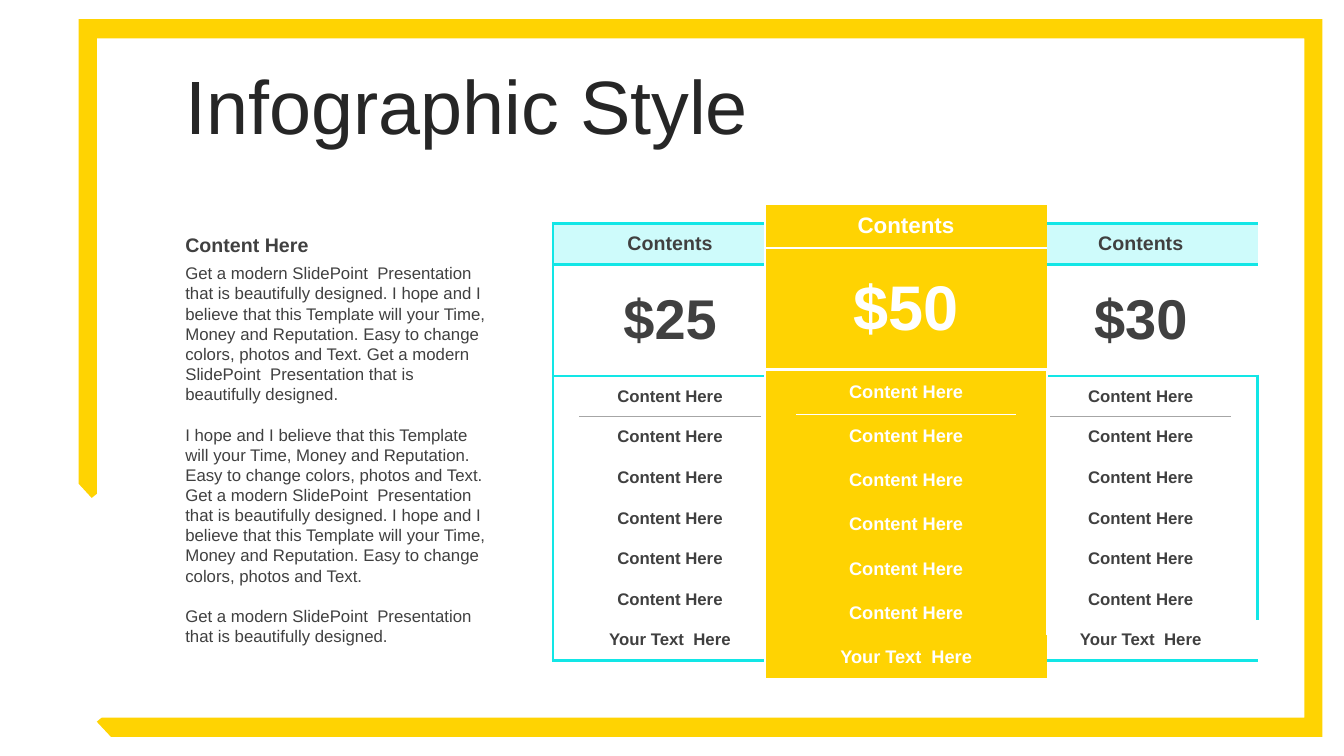
from lxml import etree
from pptx import Presentation
from pptx import util as u
from pptx.dml.color import RGBColor
from pptx.enum import text
from pptx.oxml.ns import qn

Pt = u.Pt

THEME = {
    "font": "Arial", "yellow": "FFD302", "cyan": "12E6E6", "pale": "CEFBFB",
    "white": "FFFFFF", "dark": "404040", "title": "262626", "grey": "A6A6A6",
    "title_size": 54, "heading_size": 14, "body_size": 12,
}
NO_STYLE = "{2D5ABB26-0587-4C30-8999-92F81FD0307C}"

TITLE = "Infographic Style"
HEADING = "Content Here"
PITCH = "Get a modern SlidePoint  Presentation that is beautifully designed."
PROMISE = ("I hope and I believe that this Template will your Time, Money and "
           "Reputation. Easy to change colors, photos and Text.")
BODY = [f"{PITCH} {PROMISE} {PITCH}", f"{PROMISE} {PITCH} {PROMISE}", PITCH]

FEATURES = ["Content Here"] * 6 + ["Your Text  Here"]
SIDE = {
    "top": 159.8, "cols": (18.8, 129.5, 18.8), "row": 29, "price_row": 79.8,
    "sizes": (14, 40, 12), "margins": (6, 3), "head": "pale", "fill": "white",
    "ink": "dark", "edge": ("cyan", 2.25), "under_head": ("cyan", 2.25),
    "divider": ("grey", 0.75),
}
FEATURED = {
    "top": 145.6, "cols": (22.5, 156.6, 22.5), "row": 31.6, "price_row": 87,
    "sizes": (16, 45, 13), "margins": (6.5, 3.5), "head": "yellow", "fill": "yellow",
    "ink": "white", "edge": ("white", 1.5), "under_head": ("white", 2.25),
    "divider": ("white", 0.75),
}
PLANS = [("$30", 731.3, SIDE), ("$25", 395.1, SIDE), ("$50", 546.4, FEATURED)]

FRAME = [
    (56.2, 13.7), (944.6, 13.7), (944.6, 526.3), (79.2, 526.3), (69.1, 515.5),
    (72.7, 512.6), (931.7, 512.6), (931.7, 27.4), (69.1, 27.4), (69.1, 352.8),
    (65.5, 355.7), (56.2, 345.6),
]


def rgb(name):
    return RGBColor.from_string(THEME[name])


def add_run(p, words, size, color, bold=False):
    r = p.add_run()
    r.text = words
    r.font.name = THEME["font"]
    r.font.size = Pt(size)
    r.font.bold = bold
    r.font.color.rgb = rgb(color)


def add_text(shapes, box, lines, size, color, bold=False):
    sp = shapes.add_textbox(*map(Pt, box))
    tf = sp.text_frame
    tf.word_wrap = True
    for i, line in enumerate(lines):
        p = tf.paragraphs[0] if i == 0 else tf.add_paragraph()
        add_run(p, line, size, color, bold)
    return tf


def add_border(cell, side, color, width):
    tc_pr = cell._tc.get_or_add_tcPr()
    ln = etree.SubElement(tc_pr, qn(f"a:ln{side}"), w=str(int(Pt(width))))
    fill = etree.SubElement(ln, qn("a:solidFill"))
    etree.SubElement(fill, qn("a:srgbClr"), val=THEME[color])


def cell_borders(plan, row, col, last):
    borders = {}
    if col == 0:
        borders["L"] = plan["edge"]
    if col == 2:
        borders["R"] = plan["edge"]
    if row == 0:
        borders["T"] = plan["edge"]
        borders["B"] = plan["under_head"]
    elif row == 1:
        borders["T"] = plan["under_head"]
    elif row == 2 and col == 1:
        borders["T"] = plan["divider"]
    if row == last:
        borders["B"] = plan["edge"]
    return borders


def add_plan(s, price, left, plan):
    labels = ["Contents", price] + FEATURES
    last = len(labels) - 1
    heights = [plan["row"], plan["price_row"]] + [plan["row"]] * len(FEATURES)
    frame = s.shapes.add_table(len(labels), 3, Pt(left), Pt(plan["top"]),
                               Pt(sum(plan["cols"])), Pt(sum(heights)))
    table = frame.table
    table.first_row = table.horz_banding = False
    table._tbl.tblPr.find(qn("a:tableStyleId")).text = NO_STYLE
    for column, width in zip(table.columns, plan["cols"]):
        column.width = Pt(width)
    for i, (label, height) in enumerate(zip(labels, heights)):
        table.rows[i].height = Pt(height)
        merged = i in (0, 1, last)
        if merged:
            table.cell(i, 0).merge(table.cell(i, 2))
        for j in range(3):
            cell = table.cell(i, j)
            for side, line in cell_borders(plan, i, j, last).items():
                add_border(cell, side, *line)
            cell.fill.solid()
            cell.fill.fore_color.rgb = rgb(plan["head"] if i == 0 else plan["fill"])
            cell.margin_left = cell.margin_right = Pt(plan["margins"][0])
            cell.margin_top = cell.margin_bottom = Pt(plan["margins"][1])
            cell.vertical_anchor = text.MSO_ANCHOR.MIDDLE
            p = cell.text_frame.paragraphs[0]
            p.alignment = text.PP_ALIGN.CENTER
            p.font.size = Pt(plan["sizes"][2])
        cell = table.cell(i, 0 if merged else 1)
        add_run(cell.text_frame.paragraphs[0], label,
                plan["sizes"][min(i, 2)], plan["ink"], True)


def main():
    prs = Presentation()
    prs.slide_width, prs.slide_height = Pt(960), Pt(540)
    s = prs.slides.add_slide(prs.slide_layouts[6])

    corners = [(Pt(x), Pt(y)) for x, y in FRAME]
    outline = s.shapes.build_freeform(*corners[0])
    outline.add_line_segments(corners[1:], close=True)
    sp = outline.convert_to_shape()
    sp.shadow.inherit = False
    sp.fill.solid()
    sp.fill.fore_color.rgb = rgb("yellow")
    sp.line.fill.background()

    tf = add_text(s.shapes, (125.3, 50.4, 805, 56.9), [TITLE],
                  THEME["title_size"], "title")
    tf.vertical_anchor = text.MSO_ANCHOR.MIDDLE
    tf.paragraphs[0].line_spacing = 0.9
    tf.paragraphs[0].space_before = Pt(10)

    for price, left, plan in PLANS:
        add_plan(s, price, left, plan)

    group = s.shapes.add_group_shape()
    tf = add_text(group.shapes, (125.3, 184.3, 234, 283.7), BODY,
                  THEME["body_size"], "dark")
    for i, p in enumerate(tf.paragraphs):
        p.line_spacing = Pt(14.4)
        p.space_before = Pt(14.4 if i else 0)
    add_text(group.shapes, (125.3, 162.7, 234, 24.5), [HEADING],
             THEME["heading_size"], "dark", True)

    prs.save("out.pptx")


if __name__ == "__main__":
    main()
